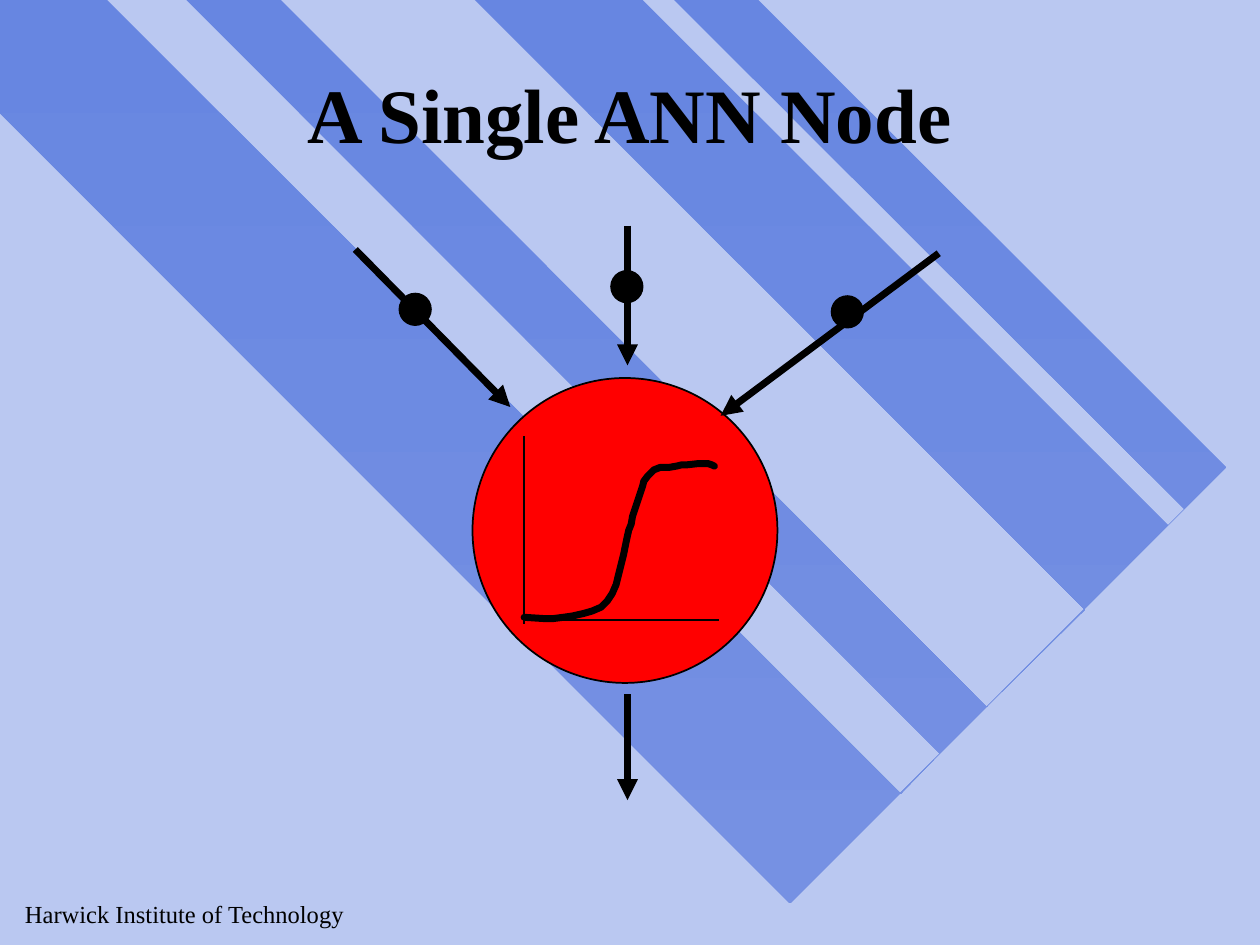
import pptx
import pptx.util
import pptx.dml.color
import pptx.enum.shapes
import pptx.enum.text
import pptx.oxml.ns
import lxml.etree

RGB = pptx.dml.color.RGBColor
BACKGROUND = RGB(0xBA, 0xC8, 0xF1)
BAND_TOP = RGB(0x67, 0x86, 0xE1)
BAND_BOTTOM = RGB(0x76, 0x91, 0xE3)
RED = RGB(0xFF, 0x00, 0x00)
BLACK = RGB(0x00, 0x00, 0x00)
FONT = "Times New Roman"
PX = 9144

TITLE = ("A Single ANN Node", (75, 27, 850, 125), 44, True)
FOOTER = ("Harwick Institute of Technology", (10, 709, 300, 33), 14, False)

BANDS = [
    (973, 371), (602, 0), (535, 0), (940, 404), (927, 417), (510, 0),
    (377, 0), (861, 484), (783, 561), (223, 0), (148, 0), (746, 598),
    (715, 630), (85, 0), (0, 0), (0, 90), (627, 717),
]
NODE = (375, 300, 242)
ARROWS = [
    (282, 198, 405, 323),
    (498, 179, 498, 290),
    (745, 201, 572, 330),
    (498, 551, 498, 635),
]
WEIGHTS = [(317, 233), (485, 215), (660, 235)]
WEIGHT_SIZE = 25
AXES = [(416, 495, 416, 346), (422, 492, 571, 492)]
SIGMOID = [
    (416, 490), (432, 491), (439, 491), (447, 490), (454, 489), (463, 487),
    (470, 485), (477, 482), (482, 477), (486, 471), (489, 464), (491, 456),
    (493, 448), (495, 440), (497, 430), (499, 421), (501, 416), (502, 410),
    (506, 398), (510, 386), (511, 382), (514, 378), (517, 375), (519, 373),
    (524, 371), (531, 371), (537, 370), (541, 369), (545, 369), (554, 368),
    (562, 368), (565, 369), (567, 370),
]

deck = pptx.Presentation()
deck.slide_width, deck.slide_height = 1000 * PX, 750 * PX
slide = deck.slides.add_slide(deck.slide_layouts[6])
slide.background.fill.solid()
slide.background.fill.fore_color.rgb = BACKGROUND


def set_line(shape, points):
    shape.line.color.rgb = BLACK
    shape.line.width = pptx.util.Pt(points)


def add_outline(points, close):
    builder = slide.shapes.build_freeform(*points[0], scale=PX)
    builder.add_line_segments(points[1:], close=close)
    outline = builder.convert_to_shape()
    outline.shadow.inherit = False
    return outline


def add_circle(left, top, size, color):
    circle = slide.shapes.add_shape(
        pptx.enum.shapes.MSO_SHAPE.OVAL, left * PX, top * PX, size * PX, size * PX)
    circle.shadow.inherit = False
    circle.fill.solid()
    circle.fill.fore_color.rgb = color
    set_line(circle, 1)


def add_straight(ends, points, arrow=False):
    straight = slide.shapes.add_connector(
        pptx.enum.shapes.MSO_CONNECTOR.STRAIGHT, *(end * PX for end in ends))
    set_line(straight, points)
    qn = pptx.oxml.ns.qn
    if arrow:
        lxml.etree.SubElement(straight.line._get_or_add_ln(), qn("a:tailEnd"), type="triangle")
    lxml.etree.SubElement(straight._element.spPr, qn("a:effectLst"))


def add_text(words, box, size, bold, align):
    frame = slide.shapes.add_textbox(*(side * PX for side in box)).text_frame
    frame.word_wrap = True
    frame.vertical_anchor = pptx.enum.text.MSO_ANCHOR.MIDDLE
    paragraph = frame.paragraphs[0]
    paragraph.alignment = align
    run = paragraph.add_run()
    run.text = words
    run.font.name = FONT
    run.font.size = pptx.util.Pt(size)
    run.font.bold = bold
    run.font.color.rgb = BLACK


bands = add_outline(BANDS, True)
bands.fill.gradient()
bands.fill.gradient_angle = 270
for stop, color in zip(bands.fill.gradient_stops, (BAND_TOP, BAND_BOTTOM)):
    stop.color.rgb = color
bands.line.fill.background()

add_text(*FOOTER, pptx.enum.text.PP_ALIGN.LEFT)
add_text(*TITLE, pptx.enum.text.PP_ALIGN.CENTER)

add_circle(*NODE, RED)
for ends in ARROWS:
    add_straight(ends, 4, arrow=True)
for left, top in WEIGHTS:
    add_circle(left, top, WEIGHT_SIZE, BLACK)
for ends in AXES:
    add_straight(ends, 1)

sigmoid = add_outline(SIGMOID, False)
sigmoid.fill.background()
set_line(sigmoid, 4)
sigmoid.line._get_or_add_ln().set("cap", "rnd")

deck.save("out.pptx")
